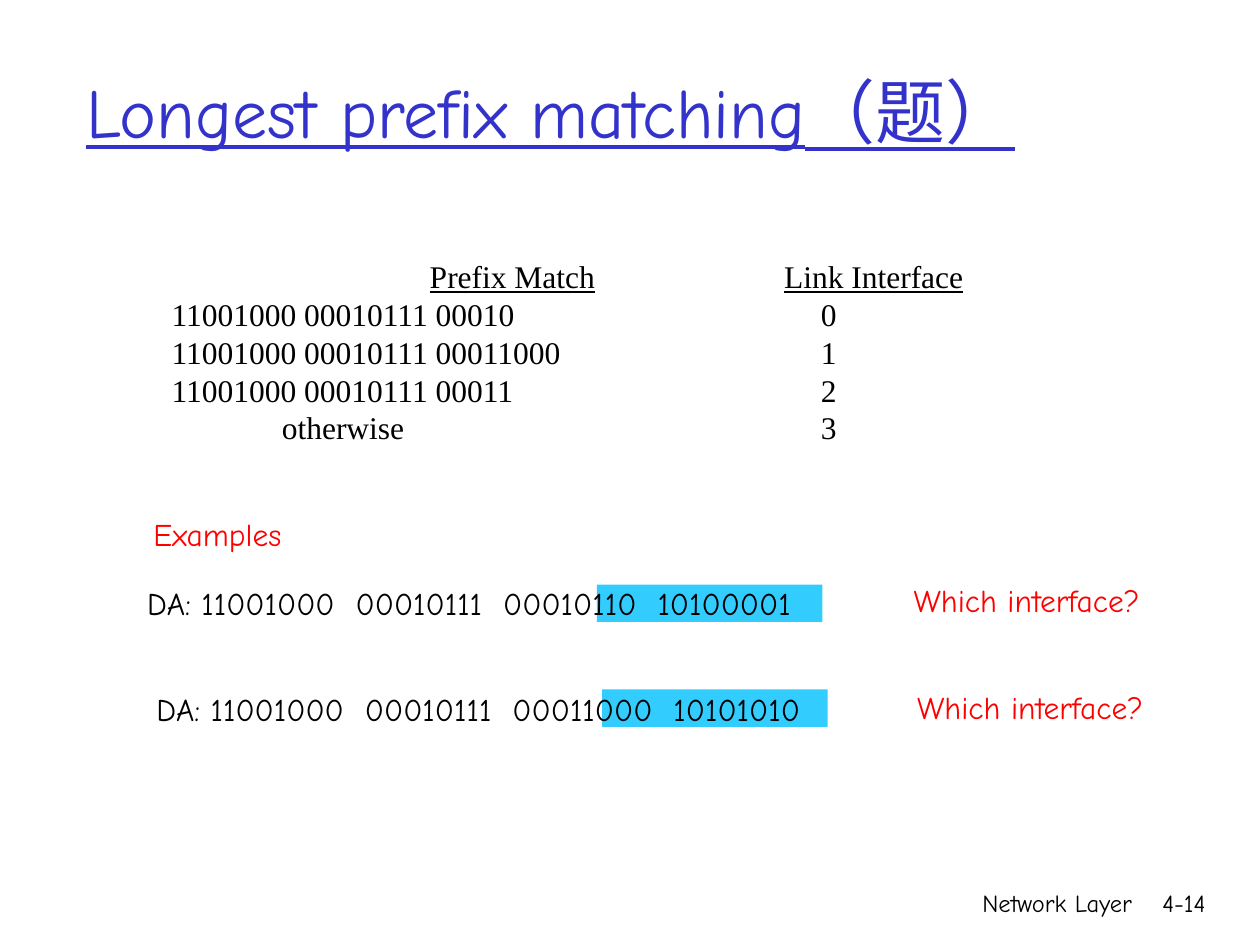
from dataclasses import dataclass

from lxml import etree
from pptx import Presentation
from pptx.dml.color import RGBColor
from pptx.enum.shapes import MSO_SHAPE
from pptx.enum.text import MSO_ANCHOR, MSO_AUTO_SIZE, PP_ALIGN
from pptx.oxml.ns import qn
from pptx.util import Pt


@dataclass(frozen=True)
class Theme:
    title_color: RGBColor = RGBColor(0x33, 0x33, 0xCC)
    text_color: RGBColor = RGBColor(0, 0, 0)
    accent_color: RGBColor = RGBColor(0xFF, 0, 0)
    highlight: RGBColor = RGBColor(0x33, 0xCC, 0xFF)
    main_font: str = "Comic Neue"
    table_font: str = "Times New Roman"
    title_size: int = 40
    body_size: int = 18
    footer_size: int = 14


theme = Theme()


def style(paragraph, color, size, name=theme.main_font):
    font = paragraph.font
    font.name, font.size, font.color.rgb = name, Pt(size), color


def add_label(text, left, top, width, height, color, size=theme.body_size,
              align=PP_ALIGN.LEFT, wrap=False):
    """Add a one-line text box; lengths are in points."""
    frame = slide.shapes.add_textbox(Pt(left), Pt(top), Pt(width), Pt(height)).text_frame
    frame.word_wrap = wrap
    line = frame.paragraphs[0]
    line.text = text
    line.alignment = align
    style(line, color, size)


prs = Presentation()
prs.slide_width, prs.slide_height = Pt(720), Pt(540)
slide = prs.slides.add_slide(prs.slide_layouts[5])

# Title
title = slide.shapes.title
title.left, title.top, title.width, title.height = Pt(42), Pt(18), Pt(612), Pt(90)
title.text_frame.text = "Longest prefix matching（题）"
title.text_frame.auto_size = MSO_AUTO_SIZE.NONE
title.text_frame.vertical_anchor = MSO_ANCHOR.MIDDLE
heading = title.text_frame.paragraphs[0]
heading.alignment = PP_ALIGN.LEFT
style(heading, theme.title_color, theme.title_size)
heading.font.underline = True

# Forwarding table: prefix, interface and their tab stops
forwarding = [
    ("Prefix Match", "Link Interface", 192.5, 395),
    ("11001000 00010111 00010", "0", 45, 416),
    ("11001000 00010111 00011000", "1", 45, 416),
    ("11001000 00010111 00011", "2", 45, 416),
    ("otherwise", "3", 108, 416),
]
table_frame = slide.shapes.add_textbox(Pt(46), Pt(143.5), Pt(515), Pt(115)).text_frame
table_frame.word_wrap = True
table_frame.vertical_anchor = MSO_ANCHOR.MIDDLE
for index, (prefix, interface, *stops) in enumerate(forwarding):
    entry = table_frame.paragraphs[0] if index == 0 else table_frame.add_paragraph()
    entry.line_spacing = Pt(21.6)
    tab_list = etree.SubElement(entry._p.get_or_add_pPr(), qn("a:tabLst"))
    for stop in stops:
        etree.SubElement(tab_list, qn("a:tab"), pos=str(Pt(stop)), algn="l")
    for cell in (prefix, interface):
        entry.add_run().text = "\t"
        cell_run = entry.add_run()
        cell_run.text = cell
        cell_run.font.underline = index == 0
    style(entry, theme.text_color, theme.body_size, theme.table_font)

# Examples: address, then (left, top) of highlight, address and question
add_label("Examples", 80.6, 291, 93, 29, theme.accent_color)
examples = [
    ("DA: 11001000  00010111  00010110  10100001", (341, 334), (77, 330), (515, 328.5)),
    ("DA: 11001000  00010111  00011000  10101010", (344, 394), (82.3, 390.5), (517, 389.8)),
]
for address, highlight_at, address_at, question_at in examples:
    highlight = slide.shapes.add_shape(
        MSO_SHAPE.RECTANGLE, *map(Pt, highlight_at), Pt(129), Pt(21.4))
    highlight.shadow.inherit = False
    highlight.fill.solid()
    highlight.fill.fore_color.rgb = theme.highlight
    highlight.line.fill.background()
    add_label(address, *address_at, 404, 29, theme.text_color)
    add_label("Which interface?", *question_at, 162, 29, theme.accent_color)

# Footer
for text, left, width in [("Network Layer", 426, 228), ("4-14", 643, 53)]:
    add_label(text, left, 504, width, 36, theme.text_color, theme.footer_size,
              PP_ALIGN.RIGHT, wrap=True)

prs.save("out.pptx")
